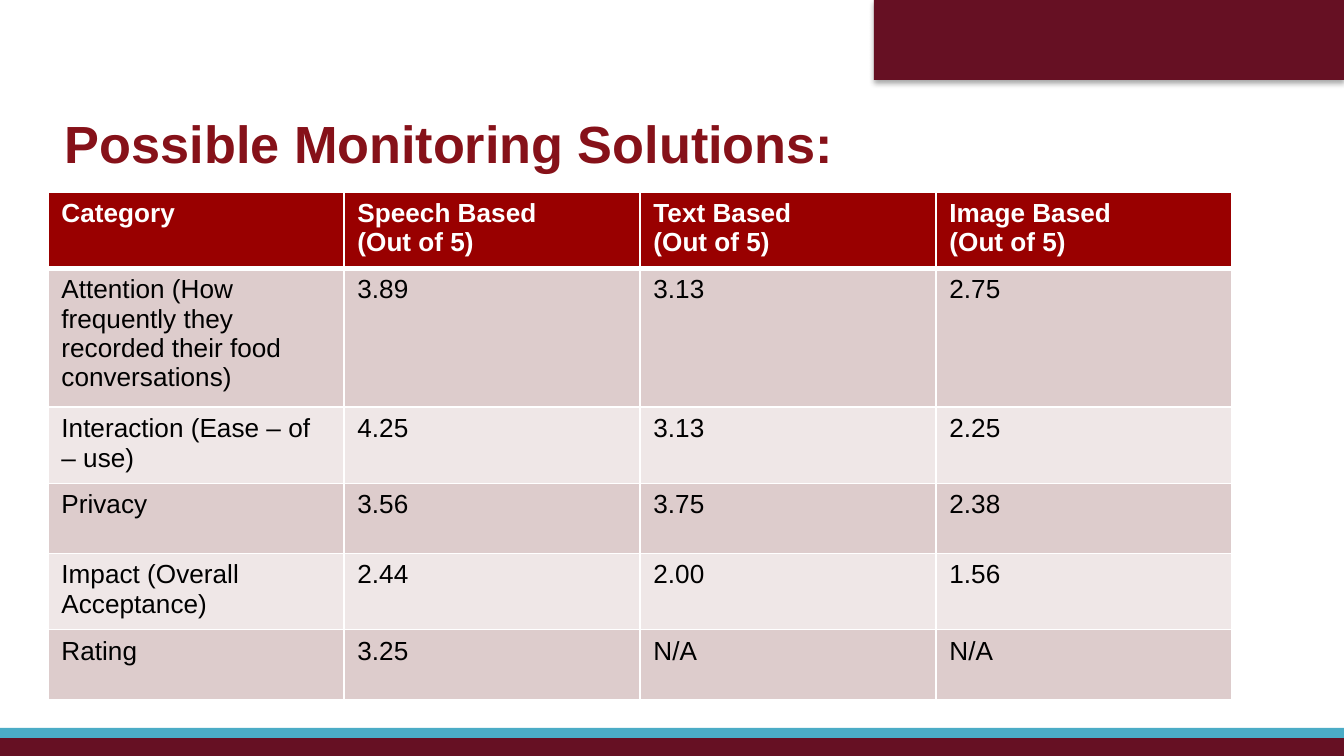
import dataclasses

import lxml.etree
import pptx
import pptx.dml.color
import pptx.enum.text
import pptx.oxml
import pptx.oxml.ns
import pptx.util

PX = 914400 / 134.4  # EMU in one px
PAGE_WIDTH, PAGE_HEIGHT = 1344, 756


@dataclasses.dataclass(frozen=True)
class Theme:
    font: str = "Arial"
    title_size: int = 28
    table_size: int = 14
    maroon: str = "661023"
    blue: str = "4BACC6"
    title: str = "861119"
    header: str = "990000"
    bands: tuple = ("DDCCCC", "EFE7E7")
    white: str = "FFFFFF"
    black: str = "000000"
    border: float = 0.96
    header_border: float = 3


def emu(px):
    return pptx.util.Emu(round(px * PX))


def rgb(color):
    return pptx.dml.color.RGBColor.from_string(color)


def write(frame, text, *, font, size, color, bold=False):
    """Fill a text frame, one paragraph for each line of text."""
    for index, line in enumerate(text.split("\n")):
        para = frame.paragraphs[0] if index == 0 else frame.add_paragraph()
        span = para.add_run()
        span.text = line
        span.font.name = font
        span.font.size = pptx.util.Pt(size)
        span.font.bold = bold
        span.font.color.rgb = rgb(color)


def set_borders(cell, color, widths):
    """Draw cell borders; widths maps the sides L, R, T, B to points."""
    properties = cell._tc.get_or_add_tcPr()
    for index, (side, width) in enumerate(widths.items()):
        line = pptx.oxml.parse_xml(
            f'<a:ln{side} {pptx.oxml.ns.nsdecls("a")} w="{pptx.util.Pt(width)}">'
            f'<a:solidFill><a:srgbClr val="{color}"/></a:solidFill></a:ln{side}>'
        )
        properties.insert(index, line)


class Painter:
    def __init__(self, page, theme):
        self.page = page
        self.theme = theme

    def bar(self, left, top, width, height, color, shadow=False):
        bar = self.page.shapes.add_shape(
            pptx.enum.shapes.MSO_SHAPE.RECTANGLE,
            emu(left), emu(top), emu(width), emu(height),
        )
        bar.shadow.inherit = False
        bar.fill.solid()
        bar.fill.fore_color.rgb = rgb(color)
        bar.line.fill.background()
        if shadow:
            self.add_shadow(bar)

    def add_shadow(self, shape):
        effects = shape._element.spPr.find(pptx.oxml.ns.qn("a:effectLst"))
        outer = lxml.etree.SubElement(
            effects, pptx.oxml.ns.qn("a:outerShdw"),
            blurRad=str(pptx.util.Pt(3.1)), dist=str(pptx.util.Pt(1.8)),
            dir="5400000", rotWithShape="0",
        )
        tint = lxml.etree.SubElement(
            outer, pptx.oxml.ns.qn("a:srgbClr"), val=self.theme.black)
        lxml.etree.SubElement(tint, pptx.oxml.ns.qn("a:alpha"), val="35000")

    def title(self, left, top, width, height, text):
        box = self.page.shapes.add_textbox(
            emu(left), emu(top), emu(width), emu(height))
        frame = box.text_frame
        frame.word_wrap = True
        frame.vertical_anchor = pptx.enum.text.MSO_ANCHOR.BOTTOM
        frame.margin_left = frame.margin_right = 0
        frame.margin_top = frame.margin_bottom = 0
        write(frame, text, font=self.theme.font, size=self.theme.title_size,
              color=self.theme.title, bold=True)

    def table(self, left, top, column_width, row_heights, rows):
        theme = self.theme
        columns = len(rows[0])
        table = self.page.shapes.add_table(
            len(rows), columns, emu(left), emu(top),
            emu(column_width * columns), emu(sum(row_heights)),
        ).table
        for column in table.columns:
            column.width = emu(column_width)
        for r, (height, texts) in enumerate(zip(row_heights, rows)):
            table.rows[r].height = emu(height)
            is_header = r == 0
            fill = theme.header if is_header else theme.bands[(r - 1) % 2]
            widths = dict.fromkeys("LRTB", theme.border)
            if is_header:
                widths["B"] = theme.header_border
            elif r == 1:
                widths["T"] = theme.header_border
            for c, text in enumerate(texts):
                cell = table.cell(r, c)
                cell.fill.solid()
                cell.fill.fore_color.rgb = rgb(fill)
                set_borders(cell, theme.white, widths)
                write(cell.text_frame, text, font=theme.font,
                      size=theme.table_size, bold=is_header,
                      color=theme.white if is_header else theme.black)


def main():
    deck = pptx.Presentation()
    deck.slide_width = emu(PAGE_WIDTH)
    deck.slide_height = emu(PAGE_HEIGHT)
    theme = Theme()
    painter = Painter(deck.slides.add_slide(deck.slide_layouts[6]), theme)

    painter.bar(874, 0, 470, 80, theme.maroon, shadow=True)
    painter.bar(0, 738, PAGE_WIDTH, 18, theme.maroon)
    painter.bar(0, 728, PAGE_WIDTH, 10, theme.blue)
    painter.title(65, 48, 1075, 126, "Possible Monitoring Solutions:")

    methods = ("Speech", "Text", "Image")
    scores = [
        ("Attention (How frequently they recorded their food conversations)",
         "3.89", "3.13", "2.75"),
        ("Interaction (Ease – of – use)", "4.25", "3.13", "2.25"),
        ("Privacy", "3.56", "3.75", "2.38"),
        ("Impact (Overall Acceptance)", "2.44", "2.00", "1.56"),
        ("Rating", "3.25", "N/A", "N/A"),
    ]
    header = ("Category", *(f"{method} Based\n(Out of 5)" for method in methods))
    painter.table(48, 192, 296, [70, 137, 70, 70, 70, 70], [header, *scores])

    deck.save("out.pptx")


if __name__ == "__main__":
    main()
